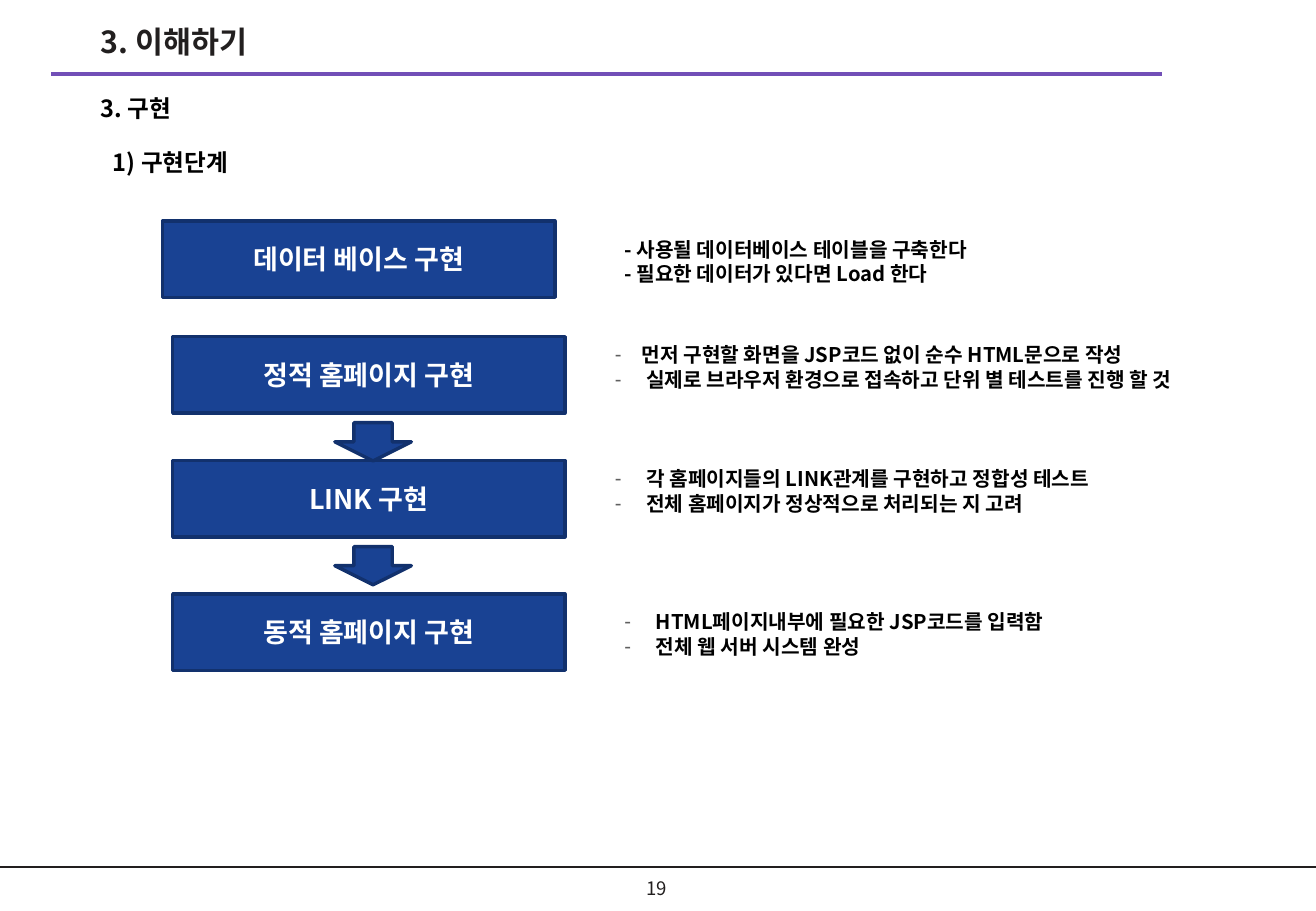
from dataclasses import dataclass

from lxml.etree import SubElement
from pptx import Presentation
from pptx.dml.color import RGBColor
from pptx.enum.shapes import MSO_CONNECTOR, MSO_SHAPE
from pptx.enum.text import MSO_ANCHOR, MSO_AUTO_SIZE, PP_ALIGN
from pptx.oxml.ns import qn
from pptx.util import Cm, Pt


@dataclass(frozen=True)
class Theme:
    font: str = "Noto Sans CJK KR"
    ink: str = "221F1F"
    black: str = "000000"
    white: str = "FFFFFF"
    rule: str = "724FB7"
    box: str = "194293"
    edge: str = "12316D"
    bullet: str = "5F5F5F"
    title: int = 18
    heading: int = 14
    step: int = 16
    note: int = 12
    page: int = 11
    leading: float = 1.2


THEME = Theme()

# Each step: left and top of its box, label, left, top and height of its notes, notes
STEPS = [
    (3.4, 4.62, "데이터 베이스 구현", 12.8, 4.83, 1.27,
     ["- 사용될 데이터베이스 테이블을 구축한다", "- 필요한 데이터가 있다면 Load 한다"]),
    (3.61, 7.04, "정적 홈페이지 구현", 12.6, 7.04, 1.8,
     ["먼저 구현할 화면을 JSP코드 없이 순수 HTML문으로 작성",
      " 실제로 브라우저 환경으로 접속하고 단위 별 테스트를 진행 할 것"]),
    (3.61, 9.63, "LINK 구현", 12.6, 9.63, 1.3,
     [" 각 홈페이지들의 LINK관계를 구현하고 정합성 테스트",
      " 전체 홈페이지가 정상적으로 처리되는 지 고려"]),
    (3.61, 12.42, "동적 홈페이지 구현", 12.8, 12.62, 1.27,
     [" HTML페이지내부에 필요한 JSP코드를 입력함", " 전체 웹 서버 시스템 완성"]),
]
ARROW_TOPS = [8.84, 11.43]


def rgb(value):
    return RGBColor.from_string(value)


def place(sp, left, top, width, height):
    sp.left, sp.top, sp.width, sp.height = Cm(left), Cm(top), Cm(width), Cm(height)


def write(sp, lines, size, color, bold=True, align=PP_ALIGN.LEFT, anchor=MSO_ANCHOR.TOP):
    tf = sp.text_frame
    tf.text = "\n".join(lines)
    tf.word_wrap = True
    tf.auto_size = MSO_AUTO_SIZE.NONE
    tf.vertical_anchor = anchor
    for p in tf.paragraphs:
        p.alignment = align
        p.space_before = Pt(0)
        p.line_spacing = Pt(size * THEME.leading)
        p.font.size = Pt(size)
        p.font.bold = bold
        p.font.color.rgb = rgb(color)
        p.font.name = THEME.font
        # East Asian face for the Korean text
        props = p._p.pPr.find(qn("a:defRPr"))
        SubElement(props, qn("a:ea"), typeface=THEME.font)
    return tf


def add_text(s, left, top, width, height, text, size, color, **style):
    sp = s.shapes.add_textbox(Cm(left), Cm(top), Cm(width), Cm(height))
    write(sp, [text], size, color, **style)


def add_rule(s, left, right, top, color, width):
    line = s.shapes.add_connector(MSO_CONNECTOR.STRAIGHT, Cm(left), Cm(top), Cm(right), Cm(top))
    line.line.color.rgb = rgb(color)
    line.line.width = Pt(width)
    SubElement(line._element.spPr, qn("a:effectLst"))


def add_block(s, kind, left, top, width, height):
    sp = s.shapes.add_shape(kind, Cm(left), Cm(top), Cm(width), Cm(height))
    sp.shadow.inherit = False
    sp.fill.solid()
    sp.fill.fore_color.rgb = rgb(THEME.box)
    sp.line.color.rgb = rgb(THEME.edge)
    sp.line.width = Pt(2)
    return sp


def set_bullet(p, dashed):
    props = p._p.get_or_add_pPr()
    indent = Cm(0.56) if dashed else 0
    props.set("marL", str(indent))
    props.set("indent", str(-indent))
    # Bullet elements come before the default run properties
    end = props.find(qn("a:defRPr"))
    holder = SubElement(props, qn("a:buClr"))
    SubElement(holder, qn("a:srgbClr"), val=THEME.bullet)
    end.addprevious(holder)
    if dashed:
        mark = SubElement(props, qn("a:buChar"), char="-")
    else:
        mark = SubElement(props, qn("a:buNone"))
    end.addprevious(mark)


def fill_notes(sp, left, top, height, lines):
    place(sp, left, top, 12.6, height)
    tf = write(sp, lines, THEME.note, THEME.black)
    dashed = not lines[0].startswith("-")
    for p in tf.paragraphs:
        set_bullet(p, dashed)


def main():
    prs = Presentation()
    prs.slide_width, prs.slide_height = Cm(27.51), Cm(19.05)
    # Comparison layout: a title and four bodies, one for each step's notes
    s = prs.slides.add_slide(prs.slide_layouts[4])
    title, *bodies = s.placeholders

    # Rules and page number
    add_rule(s, 0, 27.51, 18.13, THEME.ink, 1)
    add_rule(s, 1.07, 24.3, 1.54, THEME.rule, 2.25)
    add_text(s, 12.95, 18.16, 1.55, 0.84, "19", THEME.page, THEME.ink, bold=False,
             align=PP_ALIGN.CENTER, anchor=MSO_ANCHOR.MIDDLE)

    # Title and headings
    place(title, 1.85, 0.36, 14.1, 1.22)
    write(title, ["3. 이해하기"], THEME.title, THEME.ink)
    add_text(s, 1.85, 1.8, 13.67, 0.94, "3. 구현", THEME.heading, THEME.black,
             anchor=MSO_ANCHOR.MIDDLE)
    add_text(s, 2.11, 2.97, 22.86, 13.11, "1) 구현단계", THEME.heading, THEME.black)

    # Steps with their notes
    for body, (left, top, label, notes_left, notes_top, height, lines) in zip(bodies, STEPS):
        box = add_block(s, MSO_SHAPE.RECTANGLE, left, top, 8.2, 1.6)
        write(box, [label], THEME.step, THEME.white, align=PP_ALIGN.CENTER,
              anchor=MSO_ANCHOR.MIDDLE)
        fill_notes(body, notes_left, notes_top, height, lines)

    # Arrows between steps
    for top in ARROW_TOPS:
        add_block(s, MSO_SHAPE.DOWN_ARROW, 7.0, top, 1.6, 0.8)

    prs.save("out.pptx")


if __name__ == "__main__":
    main()
